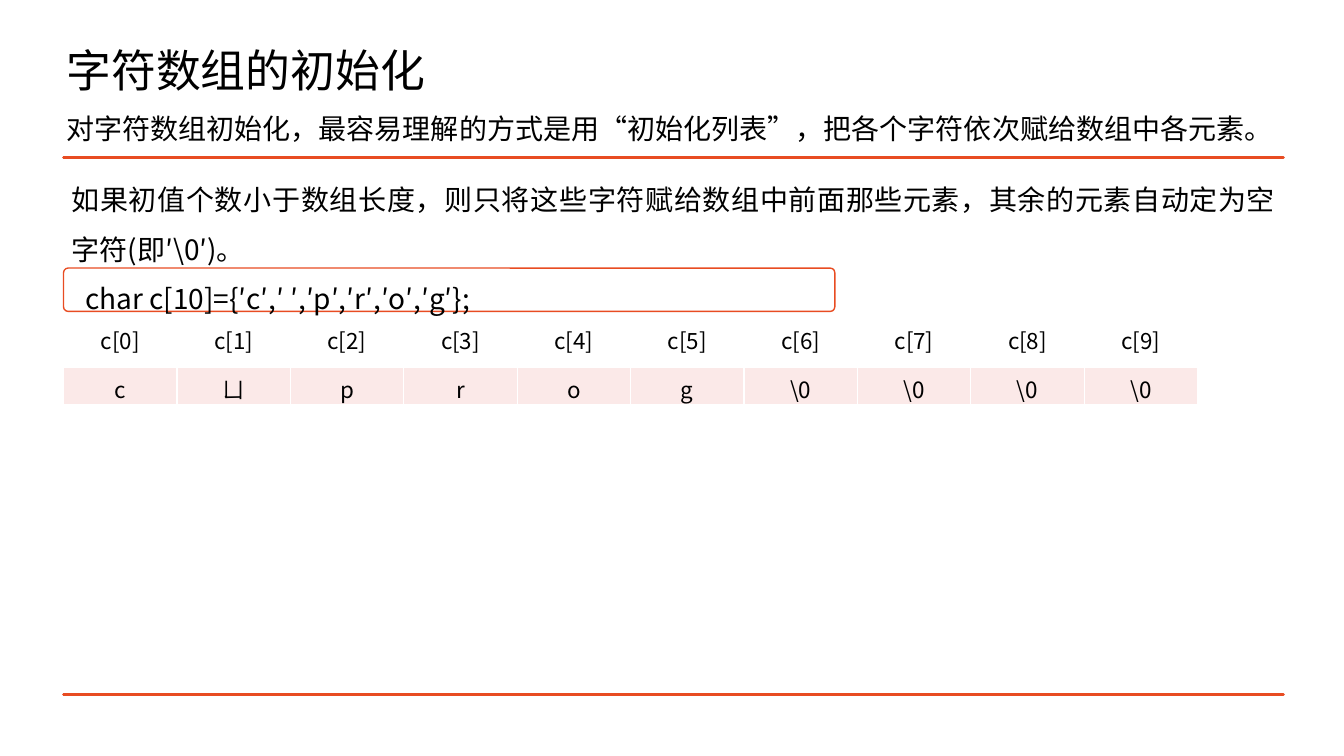
from lxml.etree import SubElement
from pptx import Presentation
from pptx.dml.color import RGBColor
from pptx.enum.shapes import MSO_SHAPE
from pptx.enum.text import MSO_ANCHOR, PP_ALIGN
from pptx.oxml.ns import qn
from pptx.util import Inches, Pt

FONT = "Noto Sans CJK SC"
BLACK, WHITE, ORANGE, PINK = "000000", "FFFFFF", "E84C22", "FBE9E8"
VALUES = ["c", "ㄩ", "p", "r", "o", "g"] + ["\\0"] * 4


def color(value):
    return RGBColor.from_string(value)


def write(frame, text, size=20, align=PP_ALIGN.LEFT, spacing=1.0,
          anchor=MSO_ANCHOR.TOP, margins=(0.1, 0.05, 0.1, 0.05)):
    """Fill a text frame; margins are left, top, right, bottom in inches."""
    frame.word_wrap = True
    frame.vertical_anchor = anchor
    (frame.margin_left, frame.margin_top,
     frame.margin_right, frame.margin_bottom) = map(Inches, margins)
    write_paragraph(frame.paragraphs[0], text, size, align, spacing)


def write_paragraph(para, text, size, align, spacing=1.0):
    para.alignment = align
    para.line_spacing = spacing
    span = para.add_run()
    span.text = text
    span.font.size = Pt(size)
    span.font.name = FONT
    span.font.bold = False
    span.font.color.rgb = color(BLACK)
    SubElement(span.font._element, qn("a:ea"), typeface=FONT)


def outline(shape, width):
    shape.shadow.inherit = False
    shape.line.color.rgb = color(ORANGE)
    shape.line.width = Pt(width)


def add_title(page, box, text):
    title = page.shapes.title
    title.left, title.top, title.width, title.height = map(Inches, box)
    write(title.text_frame, text, size=32, spacing=0.9, anchor=MSO_ANCHOR.MIDDLE)


def add_subtitle(page, box, text):
    subtitle = page.shapes.add_textbox(*map(Inches, box))
    write(subtitle.text_frame, text)


def add_body(page, box, text):
    """Place the explanation in one outline made of a rule above and a rule below."""
    left, top, width, height = map(Inches, box)
    right, bottom = left + width, top + height
    builder = page.shapes.build_freeform(left, bottom)
    builder.add_line_segments([(right, bottom), (left, bottom)], close=True)
    builder.move_to(left, top)
    builder.add_line_segments([(right, top), (left, top)], close=True)
    body = builder.convert_to_shape()
    body.fill.background()
    outline(body, 2)
    write(body.text_frame, text, align=PP_ALIGN.JUSTIFY, spacing=1.5, margins=(0.08,) * 4)


def add_code(page, box, text):
    frame = page.shapes.add_shape(MSO_SHAPE.ROUNDED_RECTANGLE, *map(Inches, box))
    frame.adjustments[0] = 0.107
    frame.fill.solid()
    frame.fill.fore_color.rgb = color(WHITE)
    outline(frame, 1)
    write(frame.text_frame, text, spacing=1.2, margins=(0.2, 0.05, 0.1, 0.05))


def border_cell(cell):
    properties = cell._tc.get_or_add_tcPr()
    for index, side in enumerate(("a:lnL", "a:lnR", "a:lnB")):
        line = properties.makeelement(qn(side), {"w": str(Pt(1))})
        fill = SubElement(line, qn("a:solidFill"))
        SubElement(fill, qn("a:srgbClr"), val=WHITE)
        properties.insert(index, line)


def add_array(page, box, values):
    """Show the element names above their values."""
    height = box[3]
    table = page.shapes.add_table(2, len(values), *map(Inches, box)).table
    table.first_row = table.horz_banding = False
    value_height = 0.36
    table.rows[0].height = Inches(height - value_height)
    table.rows[1].height = Inches(value_height)
    for column, value in enumerate(values):
        name_cell, value_cell = table.cell(0, column), table.cell(1, column)
        name_cell.fill.background()
        value_cell.fill.solid()
        value_cell.fill.fore_color.rgb = color(PINK)
        border_cell(value_cell)
        value_cell.margin_top, value_cell.margin_bottom = Inches(0.05), 0
        for cell, text in ((name_cell, f"c[{column}]"), (value_cell, value)):
            write_paragraph(cell.text_frame.paragraphs[0], text, 16, PP_ALIGN.CENTER)


def main():
    deck = Presentation()
    deck.slide_width, deck.slide_height = Inches(13.33), Inches(7.5)
    page = deck.slides.add_slide(deck.slide_layouts[5])
    add_title(page, (0.56, 0, 6.48, 1.45), "字符数组的初始化")
    add_body(page, (0.63, 1.56, 12.1, 5.33),
             "如果初值个数小于数组长度，则只将这些字符赋给数组中前面那些元素，"
             "其余的元素自动定为空字符(即′\\0′)。")
    add_subtitle(page, (0.56, 1.06, 12.17, 0.44),
                 "对字符数组初始化，最容易理解的方式是用“初始化列表”，"
                 "把各个字符依次赋给数组中各元素。")
    add_code(page, (0.63, 2.66, 7.65, 0.43), "char c[10]={′c′,′ ′,′p′,′r′,′o′,′g′};")
    add_array(page, (0.63, 3.16, 11.25, 0.85), VALUES)
    deck.save("out.pptx")


if __name__ == "__main__":
    main()
